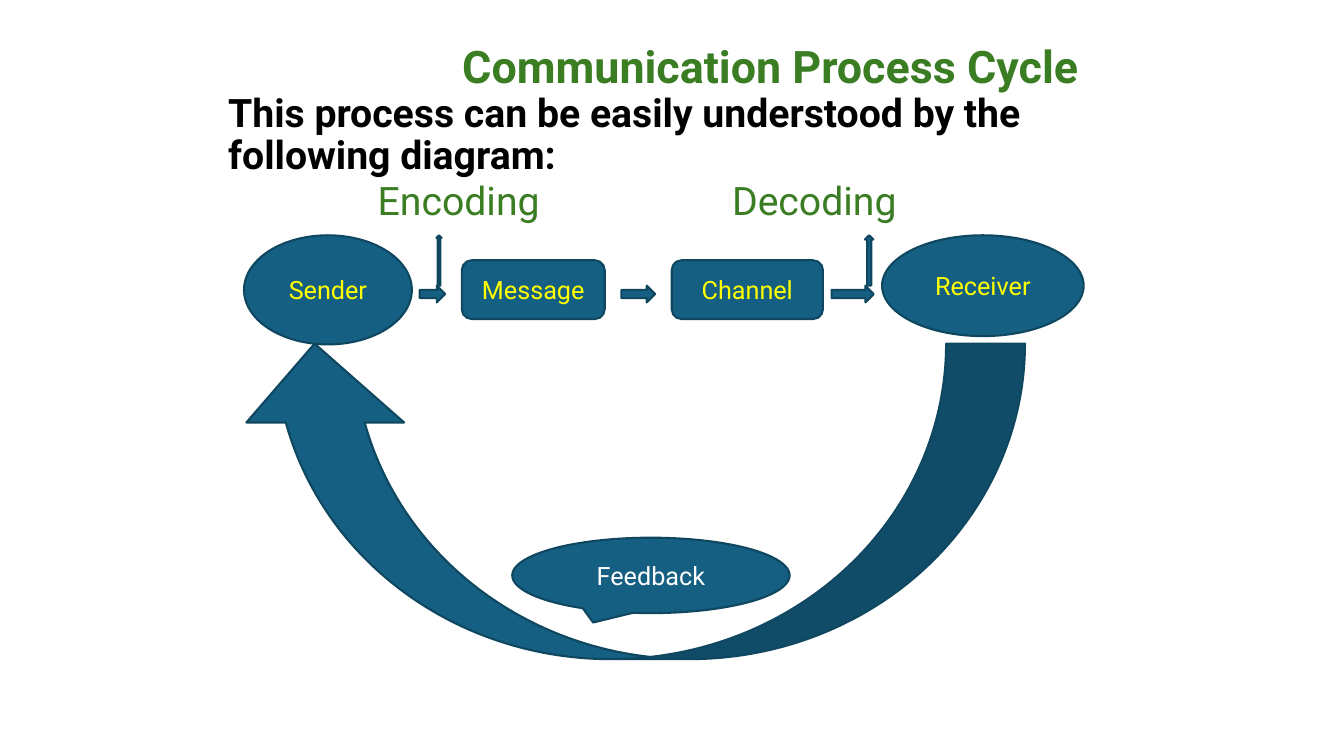
import pptx
import pptx.util
import pptx.dml.color
import pptx.enum.shapes
import pptx.enum.text

Cm = pptx.util.Cm
Pt = pptx.util.Pt
RGBColor = pptx.dml.color.RGBColor
KIND = pptx.enum.shapes.MSO_SHAPE
ALIGN = pptx.enum.text.PP_ALIGN
MIDDLE = pptx.enum.text.MSO_ANCHOR.MIDDLE

GREEN = RGBColor(0x3B, 0x7D, 0x23)
BLACK = RGBColor(0, 0, 0)
WHITE = RGBColor(0xFF, 0xFF, 0xFF)
YELLOW = RGBColor(0xFF, 0xFF, 0)
TEAL = RGBColor(0x15, 0x60, 0x82)
EDGE = RGBColor(0x10, 0x47, 0x60)


def write(para, text, size=18, color=YELLOW, bold=False, align=ALIGN.CENTER, space=1.0):
    para.alignment = align
    para.line_spacing = space
    run = para.add_run()
    run.text = text
    run.font.name = "Roboto"
    run.font.size = Pt(size)
    run.font.bold = bold
    run.font.color.rgb = color


def draw(kind, left, top, width, height):
    shape = slide.shapes.add_shape(kind, Cm(left), Cm(top), Cm(width), Cm(height))
    shape.shadow.inherit = False
    shape.fill.solid()
    shape.fill.fore_color.rgb = TEAL
    shape.line.color.rgb = EDGE
    shape.line.width = Pt(1.5)
    return shape


deck = pptx.Presentation()
deck.slide_width = Cm(33.87)
deck.slide_height = Cm(19.05)
slide = deck.slides.add_slide(deck.slide_layouts[6])

# Title and lead sentence
box = slide.shapes.add_textbox(Cm(5.5), Cm(0.76), Cm(22.86), Cm(4.11))
frame = box.text_frame
frame.word_wrap = True
frame.vertical_anchor = MIDDLE
head = frame.paragraphs[0]
write(head, "Communication Process Cycle", size=32, color=GREEN, bold=True,
      align=ALIGN.LEFT, space=0.9)
head._p.get_or_add_pPr().set("marL", str(Cm(5.9)))
write(frame.add_paragraph(),
      "This process can be easily understood by the following diagram:",
      size=28, color=BLACK, bold=True, align=ALIGN.LEFT, space=0.9)

# Step labels above the arrows
for text, left in (("Encoding", 9.27), ("Decoding", 18.2)):
    box = slide.shapes.add_textbox(Cm(left), Cm(4.45), Cm(5.2), Cm(1.3))
    box.text_frame.word_wrap = True
    write(box.text_frame.paragraphs[0], text, size=28, color=GREEN,
          align=ALIGN.LEFT, space=0.9)

# Feedback arrow from receiver back to sender
draw(KIND.CURVED_LEFT_ARROW, 11.91, 2.69, 7.95, 19.89).rotation = 90

# Stages and feedback callout
for text, kind, left, top, width, height, color in (
    ("Sender", KIND.OVAL, 6.15, 5.93, 4.23, 2.75, YELLOW),
    ("Message", KIND.ROUNDED_RECTANGLE, 11.64, 6.56, 3.6, 1.48, YELLOW),
    ("Channel", KIND.ROUNDED_RECTANGLE, 16.93, 6.56, 3.81, 1.48, YELLOW),
    ("Receiver", KIND.OVAL, 22.23, 5.93, 5.08, 2.54, YELLOW),
    ("Feedback", KIND.OVAL_CALLOUT, 12.91, 13.55, 6.99, 1.9, WHITE),
):
    stage = draw(kind, left, top, width, height)
    stage.text_frame.vertical_anchor = MIDDLE
    write(stage.text_frame.paragraphs[0], text, color=color)

# Arrows between stages
for left, width in ((10.58, 0.64), (15.66, 0.85), (20.96, 1.06)):
    draw(KIND.RIGHT_ARROW, left, 7.2, width, 0.42)

# Arrows up to the step labels
for left, width in ((11, 0.13), (21.8, 0.21)):
    draw(KIND.UP_ARROW, left, 5.93, width, 1.27)

deck.save("out.pptx")
